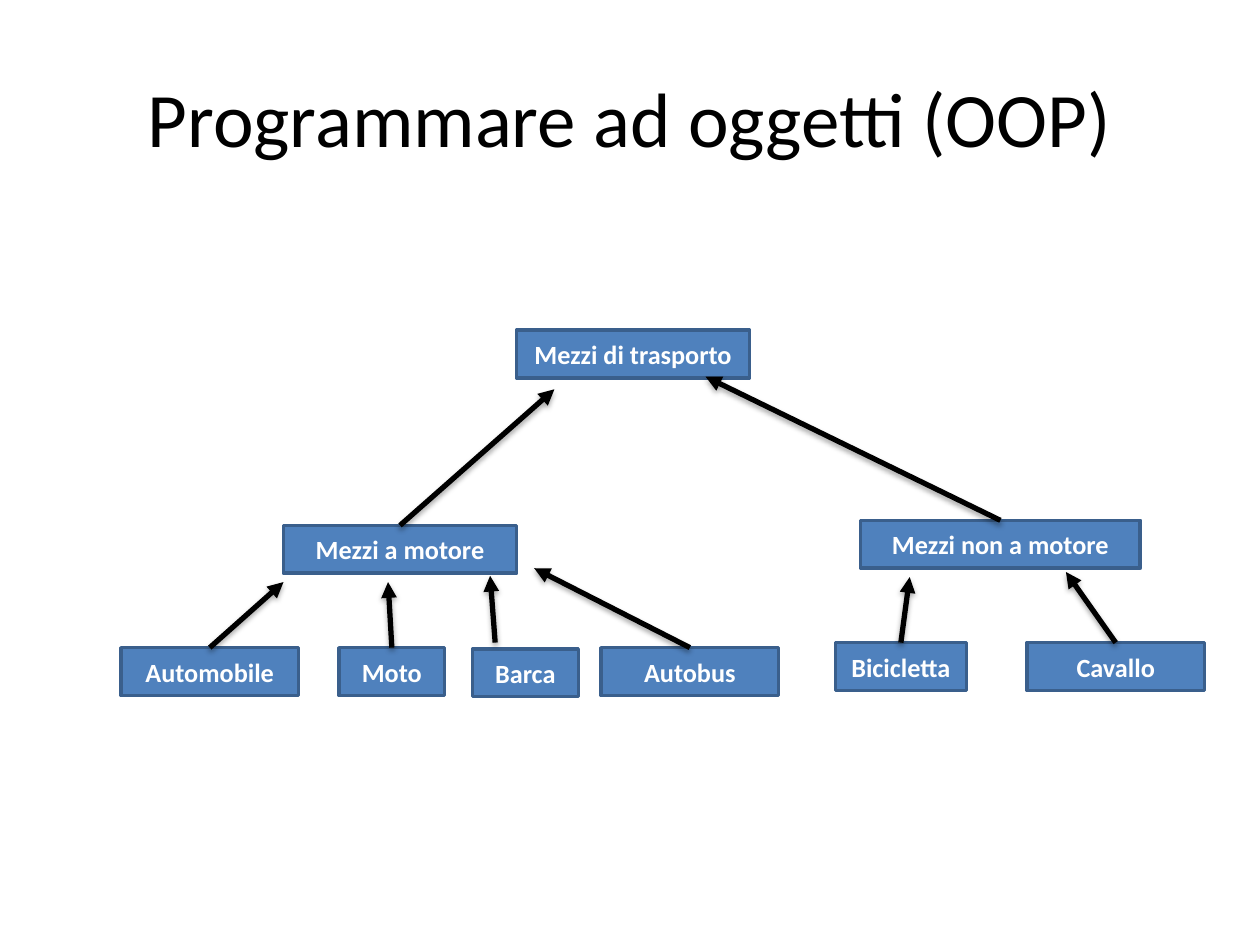
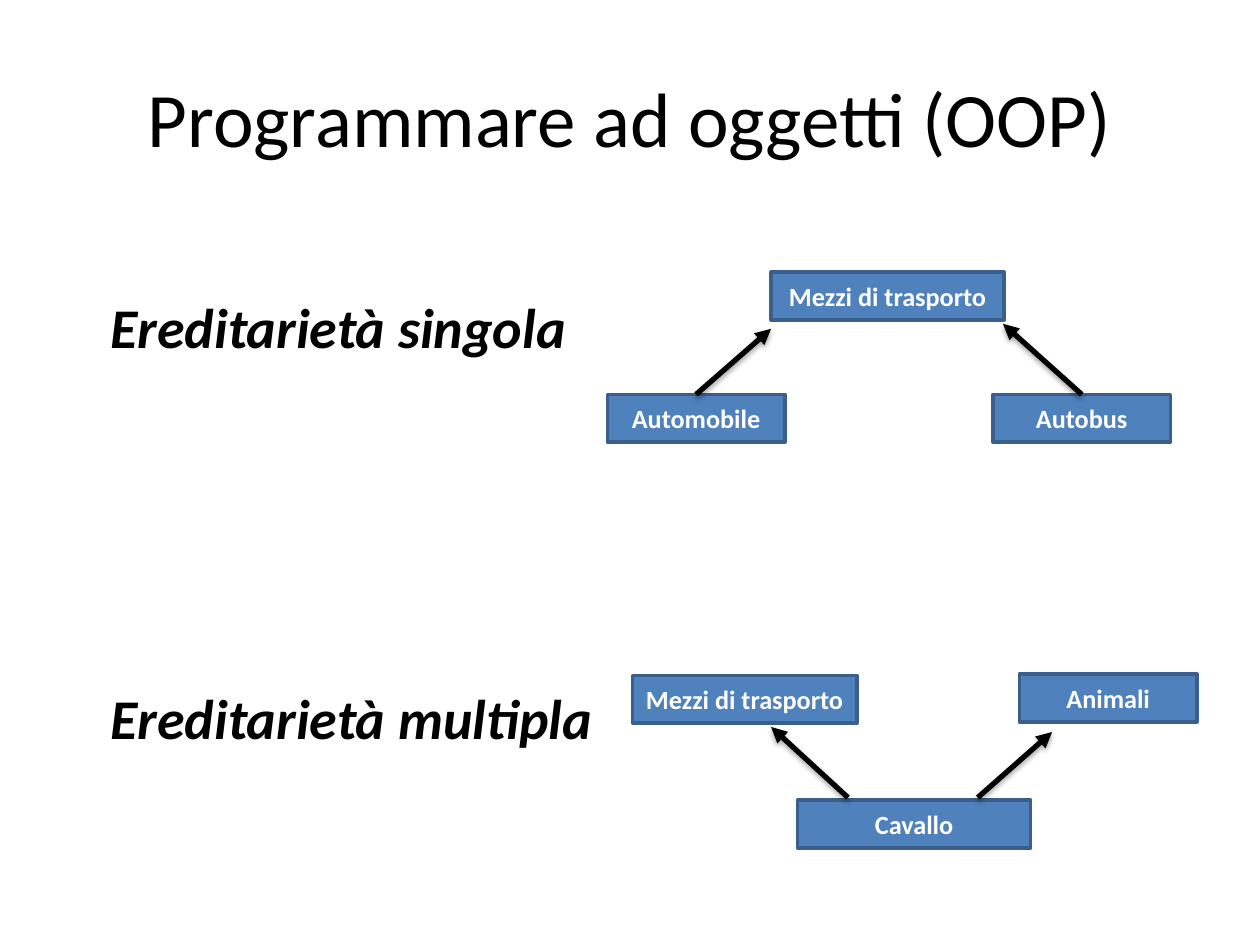
from lxml.etree import SubElement
from pptx import Presentation
from pptx.dml.color import RGBColor
from pptx.enum.shapes import MSO_CONNECTOR, MSO_SHAPE
from pptx.enum.text import MSO_ANCHOR, PP_ALIGN
from pptx.oxml.ns import qn
from pptx.util import Inches, Pt

FONT = "Calibri"
BLACK, WHITE = "000000", "FFFFFF"
BOX_FILL, BOX_LINE = "4F81BD", "3A5F8C"
BOX_H = 0.38
TITLE = "Programmare ad oggetti (OOP)"

# Positions are relative to each diagram's top left corner.
# Classes: name -> (left, top, width)
# Arrows: (child, tip) or (child, tip, start); the usual start is the child's top centre
TRANSPORT_CLASSES = {
    "Mezzi di trasporto": (3.14, 0, 1.85),
    "Mezzi a motore": (1.29, 1.55, 1.85),
    "Mezzi non a motore": (5.87, 1.51, 2.22),
    "Automobile": (0, 2.52, 1.41),
    "Moto": (1.73, 2.52, 0.84),
    "Barca": (2.79, 2.53, 0.84),
    "Autobus": (3.81, 2.52, 1.41),
    "Bicicletta": (5.67, 2.48, 1.04),
    "Cavallo": (7.19, 2.48, 1.41),
}
TRANSPORT_ARROWS = [
    ("Mezzi a motore", (3.44, 0.47)),
    ("Mezzi non a motore", (4.64, 0.37)),
    ("Automobile", (1.29, 2)),
    ("Moto", (2.12, 2)),
    ("Barca", (2.93, 1.95), (2.97, 2.48)),
    ("Autobus", (3.28, 1.89)),
    ("Bicicletta", (6.26, 1.96)),
    ("Cavallo", (7.5, 1.92)),
]
SINGLE_CLASSES = {
    "Mezzi di trasporto": (1.3, 0, 1.85),
    "Automobile": (0, 0.97, 1.41),
    "Autobus": (3.06, 0.97, 1.41),
}
SINGLE_ARROWS = [
    ("Automobile", (1.3, 0.45)),
    ("Autobus", (3.14, 0.41)),
]
MULTIPLE_CLASSES = {
    "Mezzi di trasporto": (0, 0.01, 1.78),
    "Animali": (3.07, 0, 1.41),
    "Cavallo": (1.31, 1, 1.85),
}
MULTIPLE_ARROWS = [
    ("Cavallo", (1.1, 0.42), (1.71, 0.98)),
    ("Cavallo", (3.33, 0.46), (2.74, 0.98)),
]


def rgb(value):
    return RGBColor.from_string(value)


def write(tf, *lines, size, color=BLACK, bold=False, italic=False,
          align=PP_ALIGN.CENTER, anchor=MSO_ANCHOR.MIDDLE, wrap=True, gap=0):
    """Fill a text frame, one paragraph a line, with gap points between them."""
    tf.word_wrap = wrap
    tf.vertical_anchor = anchor
    for i, line in enumerate(lines):
        p = tf.add_paragraph() if i else tf.paragraphs[0]
        p.alignment = align
        p.space_before = Pt(gap if i else 0)
        r = p.add_run()
        r.text = line
        r.font.name = FONT
        r.font.size = Pt(size)
        r.font.bold = bold
        r.font.italic = italic
        r.font.color.rgb = rgb(color)


def add_text(s, box, *lines, **style):
    sp = s.shapes.add_textbox(*map(Inches, box))
    write(sp.text_frame, *lines, **style)


def add_class(s, name, x, y, w):
    sp = s.shapes.add_shape(MSO_SHAPE.RECTANGLE, *map(Inches, (x, y, w, BOX_H)))
    sp.shadow.inherit = False
    sp.fill.solid()
    sp.fill.fore_color.rgb = rgb(BOX_FILL)
    sp.line.color.rgb = rgb(BOX_LINE)
    sp.line.width = Pt(2)
    write(sp.text_frame, name, size=15, color=WHITE, bold=True, wrap=False)


def add_arrow(s, start, tip):
    """Draw a black arrow with a soft shadow below it."""
    line = s.shapes.add_connector(MSO_CONNECTOR.STRAIGHT, *map(Inches, start + tip))
    line.line.color.rgb = rgb(BLACK)
    line.line.width = Pt(3)
    SubElement(line.line._get_or_add_ln(), qn("a:tailEnd"), type="triangle")
    effects = SubElement(line._element.spPr, qn("a:effectLst"))
    shadow = SubElement(effects, qn("a:outerShdw"), blurRad=str(Pt(3.1)),
                        dist=str(Pt(1.8)), dir="5400000", rotWithShape="0")
    color = SubElement(shadow, qn("a:srgbClr"), val=BLACK)
    SubElement(color, qn("a:alpha"), val="35000")


def add_diagram(s, left, top, classes, arrows):
    for name, (x, y, w) in classes.items():
        add_class(s, name, left + x, top + y, w)
    for child, tip, *start in arrows:
        x, y, w = classes[child]
        begin = start[0] if start else (x + w / 2, y)
        add_arrow(s, *((left + px, top + py) for px, py in (begin, tip)))


def add_titled_slide(prs):
    s = prs.slides.add_slide(prs.slide_layouts[6])
    add_text(s, (0.5, 0.3, 9, 1.25), TITLE, size=44)
    return s


def add_hierarchy_slide(prs):
    s = add_titled_slide(prs)
    add_diagram(s, 0.96, 2.62, TRANSPORT_CLASSES, TRANSPORT_ARROWS)


def add_inheritance_slide(prs):
    s = add_titled_slide(prs)
    add_text(s, (0.78, 2.27, 8.62, 4.12), "Ereditarietà singola", "Ereditarietà multipla",
             size=32, bold=True, italic=True, align=PP_ALIGN.JUSTIFY,
             anchor=MSO_ANCHOR.TOP, gap=185)
    add_diagram(s, 4.82, 2.16, SINGLE_CLASSES, SINGLE_ARROWS)
    add_diagram(s, 5.02, 5.35, MULTIPLE_CLASSES, MULTIPLE_ARROWS)


def main():
    prs = Presentation()
    prs.slide_width, prs.slide_height = Inches(10), Inches(7.5)
    add_hierarchy_slide(prs)
    add_inheritance_slide(prs)
    prs.save("out.pptx")


if __name__ == "__main__":
    main()
